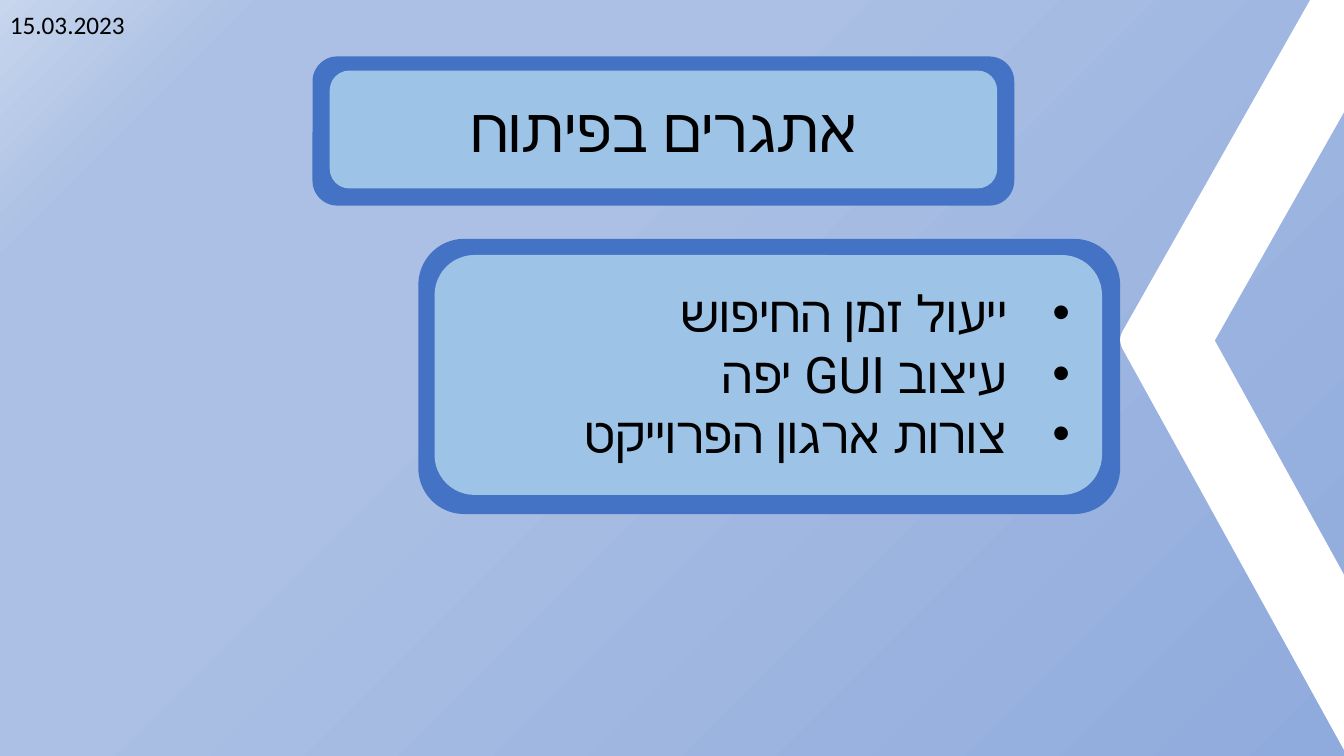
from pptx import Presentation
from pptx.dml.color import RGBColor as RGB
from pptx.enum.shapes import MSO_SHAPE as SHAPE
from pptx.enum.text import MSO_AUTO_SIZE as FIT, PP_ALIGN as ALIGN
from pptx.oxml import parse_xml
from pptx.oxml.ns import nsdecls, qn
from pptx.util import Inches, Pt

COLORS = {
    "frame": "4472C4", "panel": "9DC3E6", "band": "FFFFFF", "text": "000000",
    "deep": "8FAADC", "mid": "ABC0E4", "light": "C7D5ED",
}


class SlideBuilder:
    """Holds the style and the current slide and draws its elements."""

    def __init__(self, prs, font):
        self.s = prs.slides.add_slide(prs.slide_layouts[6])
        self.font = font

    def background(self, stops):
        self.s.background.fill.gradient()
        grad = self.s._element.find(".//" + qn("a:gradFill"))
        gs = "".join(
            f'<a:gs pos="{pos * 1000}"><a:srgbClr val="{COLORS[name]}"/></a:gs>'
            for pos, name in stops)
        grad.getparent().replace(grad, parse_xml(
            f'<a:gradFill {nsdecls("a")} rotWithShape="1"><a:gsLst>{gs}</a:gsLst>'
            '<a:path path="circle"><a:fillToRect l="100000" t="100000"/></a:path>'
            '<a:tileRect r="-100000" b="-100000"/></a:gradFill>'))

    def rounded(self, box, color, rotation=0):
        sp = self.s.shapes.add_shape(SHAPE.ROUNDED_RECTANGLE, *map(Inches, box))
        sp.shadow.inherit = False
        sp.fill.solid()
        sp.fill.fore_color.rgb = RGB.from_string(COLORS[color])
        sp.line.fill.background()
        sp.rotation = rotation

    def card(self, outer, inner):
        self.rounded(outer, "frame")
        self.rounded(inner, "panel")

    def text(self, box, lines, size, align=ALIGN.LEFT, font=None, rtl=False, bullets=False):
        tf = self.s.shapes.add_textbox(*map(Inches, box)).text_frame
        tf.word_wrap = True
        tf.auto_size = FIT.SHAPE_TO_FIT_TEXT
        for i, line in enumerate(lines):
            p = tf.add_paragraph() if i else tf.paragraphs[0]
            p.alignment = align
            pPr = p._p.get_or_add_pPr()
            if rtl:
                pPr.set("rtl", "1")
            if bullets:
                self.bullet(pPr)
            r = p.add_run()
            r.text = line
            r.font.size = Pt(size)
            r.font.name = font or self.font
            r.font.color.rgb = RGB.from_string(COLORS["text"])
            if rtl:
                r._r.get_or_add_rPr().append(parse_xml(
                    f'<a:cs {nsdecls("a")} typeface="{r.font.name}"/>'))

    def bullet(self, pPr):
        indent = Inches(0.62)
        pPr.set("marL", str(indent))
        pPr.set("indent", str(-indent))
        pPr.append(parse_xml(f'<a:buFont {nsdecls("a")} typeface="Arial"/>'))
        pPr.append(parse_xml(f'<a:buChar {nsdecls("a")} char="•"/>'))


def main():
    prs = Presentation()
    prs.slide_width, prs.slide_height = Inches(13.33), Inches(7.5)
    slide = SlideBuilder(prs, "Roboto")
    slide.background([(0, "deep"), (63, "mid"), (87, "mid"), (100, "light")])

    slide.card((3.1, 0.56, 6.96, 1.48), (3.27, 0.7, 6.62, 1.17))
    slide.text((3.54, 0.85, 6.1, 0.84), ["אתגרים בפיתוח"], 44, ALIGN.CENTER, rtl=True)

    slide.card((4.15, 2.37, 6.96, 2.73), (4.31, 2.53, 6.62, 2.38))
    challenges = ["ייעול זמן החיפוש", "עיצוב GUI יפה", "צורות ארגון הפרוייקט"]
    slide.text((4.24, 2.75, 6.47, 1.92), challenges, 36, ALIGN.RIGHT, rtl=True, bullets=True)

    slide.rounded((9.79, 5.49, 6.35, 0.84), "band", 61.1)
    slide.rounded((10.08, 0.9, 5.3, 0.84), "band", 299.5)
    slide.text((0, 0.04, 2.47, 0.4), ["15.03.2023"], 18, font="Calibri")
    prs.save("out.pptx")


if __name__ == "__main__":
    main()
